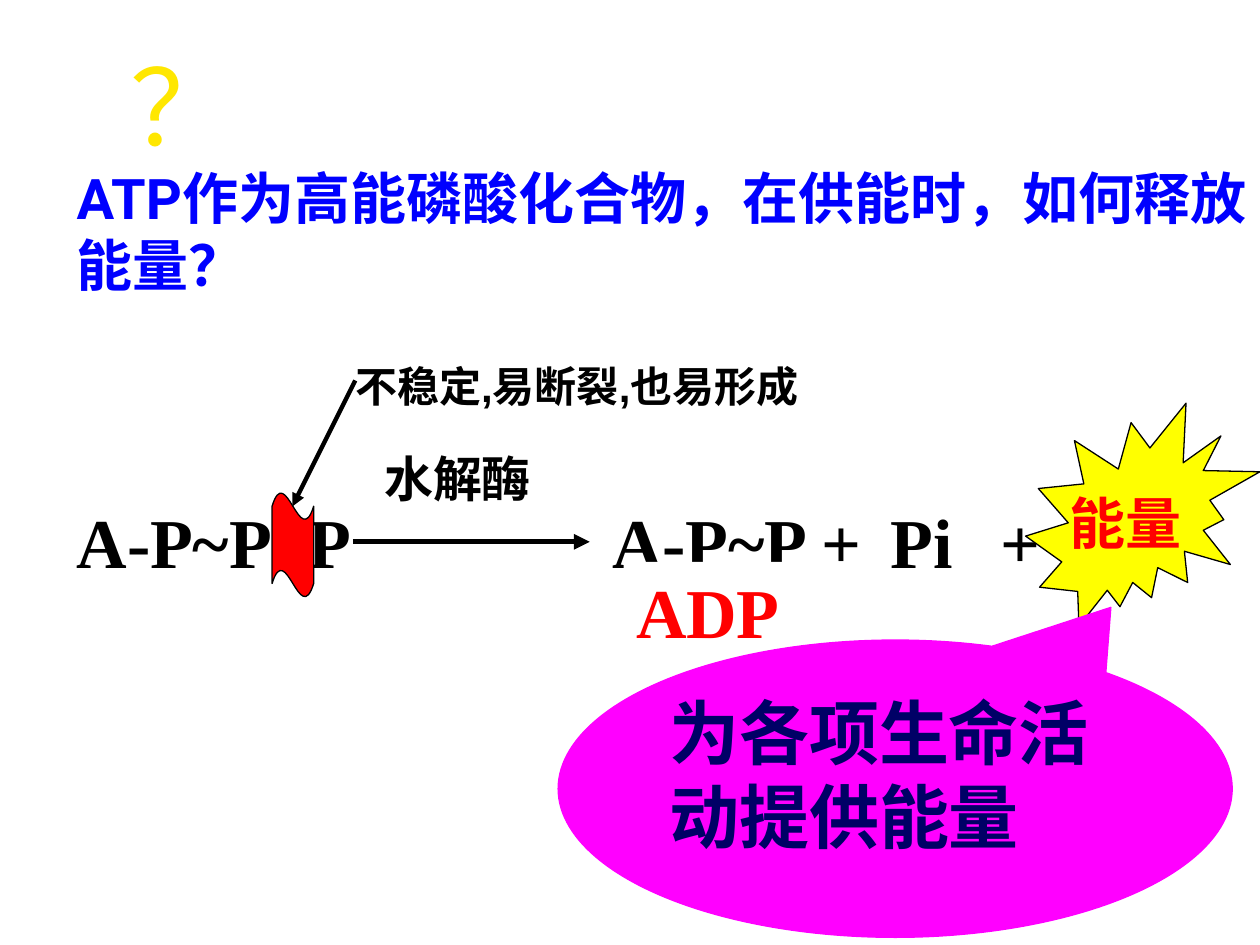
from lxml.etree import SubElement
from pptx import Presentation
from pptx.dml.color import RGBColor
from pptx.enum.shapes import MSO_CONNECTOR, MSO_SHAPE
from pptx.enum.text import MSO_ANCHOR, PP_ALIGN
from pptx.oxml.ns import qn
from pptx.util import Inches, Pt

BLACK = RGBColor(0, 0, 0)
WHITE = RGBColor(255, 255, 255)
RED = RGBColor(255, 0, 0)
YELLOW = RGBColor(255, 255, 0)
GOLD = RGBColor(0xFF, 0xE7, 0x01)
BLUE = RGBColor(0, 0, 255)
NAVY = RGBColor(0, 0, 0x66)
PINK = RGBColor(255, 0, 255)
SERIF = "Times New Roman"
HAN = "Noto Sans CJK SC"


def write(shape, text, size, font, color, bold=True, align=PP_ALIGN.LEFT):
    frame = shape.text_frame
    frame.word_wrap = True
    frame.vertical_anchor = MSO_ANCHOR.TOP
    para = frame.paragraphs[0]
    para.alignment = align
    run = para.add_run()
    run.text = text
    run.font.size = Pt(size)
    run.font.bold = bold
    run.font.name = font
    run.font.color.rgb = color
    SubElement(run.font._element, qn("a:ea"), typeface=HAN)


def add_text(slide, box, *style, **more):
    shape = slide.shapes.add_textbox(*map(Inches, box))
    write(shape, *style, **more)


def add_form(slide, kind, box, fill, edge=None):
    shape = slide.shapes.add_shape(kind, *map(Inches, box))
    shape.shadow.inherit = False
    shape.fill.solid()
    shape.fill.fore_color.rgb = fill
    if edge is None:
        shape.line.fill.background()
    else:
        shape.line.color.rgb = edge
        shape.line.width = Pt(0.75)
    return shape


def add_arrow(slide, ends, width):
    arrow = slide.shapes.add_connector(MSO_CONNECTOR.STRAIGHT, *map(Inches, ends))
    arrow.line.color.rgb = BLACK
    arrow.line.width = Pt(width)
    SubElement(arrow.line._get_or_add_ln(), qn("a:tailEnd"), type="triangle")
    SubElement(arrow._element.spPr, qn("a:effectLst"))


def add_formula(slide):
    parts = [
        ("A-P~P~P", 0.51, 2.6),
        ("A-P~P", 4.76, 2.05),
        ("+", 6.42, 0.55),
        ("Pi", 6.97, 0.95),
        ("+", 7.84, 0.44),
    ]
    for text, left, width in parts:
        add_text(slide, (left, 3.91, width, 0.77), text, 40, SERIF, BLACK)
    add_arrow(slide, (2.8, 4.3, 4.68, 4.3), 3)
    add_text(slide, (2.95, 3.51, 1.65, 0.57), "水解酶", 28, HAN, BLACK)
    label = add_form(slide, MSO_SHAPE.RECTANGLE, (4.95, 4.46, 1.67, 0.77), WHITE)
    write(label, "ADP", 40, SERIF, RED)


def add_burst(slide):
    add_form(slide, MSO_SHAPE.EXPLOSION2, (8.14, 3.2, 1.86, 1.77), YELLOW, BLACK)
    add_text(slide, (8.39, 3.83, 1.26, 0.63), "能量", 32, SERIF, RED)


def add_bond(slide):
    wave = add_form(slide, MSO_SHAPE.WAVE, (2.16, 3.91, 0.33, 0.83), RED, BLACK)
    wave.adjustments[0] = 0.13
    add_arrow(slide, (2.82, 3.02, 2.32, 4.02), 2.5)
    add_text(slide, (2.72, 2.81, 4.18, 0.5), "不稳定,易断裂,也易形成", 24, "Arial", BLACK)


def add_query(slide):
    add_text(slide, (0.51, 1.25, 9.49, 1.17),
             "ATP作为高能磷酸化合物，在供能时，如何释放能量？", 32, "Roboto", BLUE)
    add_text(slide, (0.9, 0.28, 1.1, 1.1), "？", 60, HAN, GOLD,
             bold=False, align=PP_ALIGN.CENTER)


def add_callout(slide):
    bubble = add_form(slide, MSO_SHAPE.OVAL_CALLOUT, (4.43, 5.08, 5.35, 2.36), PINK, PINK)
    bubble.adjustments[0] = 0.32
    bubble.adjustments[1] = -0.61
    write(bubble, "为各项生命活动提供能量", 40, "Roboto", NAVY)


def main():
    deck = Presentation()
    deck.slide_width = Inches(10)
    deck.slide_height = Inches(7.5)
    slide = deck.slides.add_slide(deck.slide_layouts[6])
    add_formula(slide)
    add_burst(slide)
    add_bond(slide)
    add_query(slide)
    add_callout(slide)
    deck.save("out.pptx")


if __name__ == "__main__":
    main()
